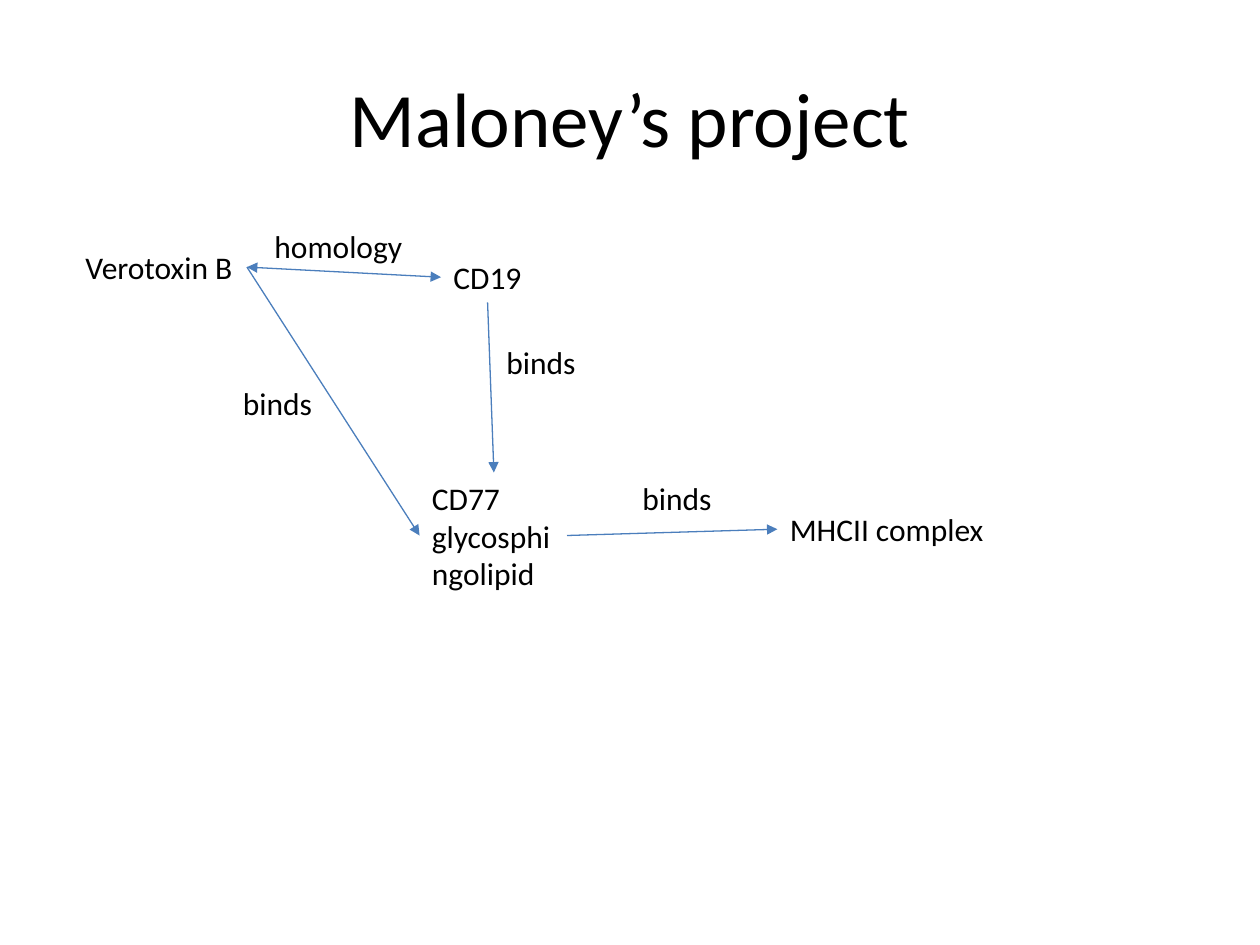
import dataclasses

import lxml.etree
import pptx
import pptx.dml.color
import pptx.enum.shapes
import pptx.enum.text
import pptx.oxml.ns
import pptx.slide
import pptx.text.text
import pptx.util

Inches = pptx.util.Inches
BLACK = pptx.dml.color.RGBColor(0x00, 0x00, 0x00)
BLUE = pptx.dml.color.RGBColor(0x4B, 0x7E, 0xBC)
FONT = "Calibri"


@dataclasses.dataclass
class Label:
    text: str
    left: float
    top: float
    width: float
    height: float = 0.4
    wrap: bool = False


@dataclasses.dataclass
class Arrow:
    start: tuple[float, float]
    end: tuple[float, float]
    double: bool = False


LABELS = [
    Label("CD77\nglycosphingolipid", 3.33, 3.75, 1.17, 1.01, True),
    Label("MHCII complex", 6.17, 4, 1.76),
    Label("CD19", 3.5, 2, 0.75),
    Label("Verotoxin B", 0.58, 1.92, 1.38),
    Label("homology", 2.08, 1.75, 1.23),
    Label("binds", 1.83, 3, 0.76),
    Label("binds", 5, 3.75, 0.76),
    Label("binds", 3.92, 2.67, 0.76),
]

ARROWS = [
    Arrow((1.96, 2.12), (3.33, 4.25)),
    Arrow((1.96, 2.12), (3.5, 2.2), double=True),
    Arrow((4.5, 4.25), (6.17, 4.2)),
    Arrow((3.87, 2.4), (3.92, 3.75)),
]


def set_font(frame: pptx.text.text.TextFrame, size: float) -> None:
    for para in frame.paragraphs:
        para.font.name = FONT
        para.font.size = pptx.util.Pt(size)
        para.font.color.rgb = BLACK


def draw_label(page: pptx.slide.Slide, label: Label) -> None:
    box = page.shapes.add_textbox(
        Inches(label.left), Inches(label.top), Inches(label.width), Inches(label.height)
    )
    frame = box.text_frame
    frame.text = label.text
    frame.word_wrap = label.wrap
    frame.auto_size = pptx.enum.text.MSO_AUTO_SIZE.SHAPE_TO_FIT_TEXT
    set_font(frame, 18)


def draw_arrow(page: pptx.slide.Slide, arrow: Arrow) -> None:
    connector = page.shapes.add_connector(
        pptx.enum.shapes.MSO_CONNECTOR.STRAIGHT,
        *map(Inches, arrow.start + arrow.end),
    )
    connector.line.color.rgb = BLUE
    connector.line.width = pptx.util.Pt(0.75)
    line = connector.line._get_or_add_ln()
    for end in ["headEnd", "tailEnd"] if arrow.double else ["tailEnd"]:
        lxml.etree.SubElement(line, pptx.oxml.ns.qn(f"a:{end}"), type="triangle")
    lxml.etree.SubElement(
        connector._element.spPr, pptx.oxml.ns.qn("a:effectLst")
    )


def draw_title(page: pptx.slide.Slide, text: str) -> None:
    title = page.shapes.title
    title.left, title.top = Inches(0.5), Inches(0.3)
    title.width, title.height = Inches(9), Inches(1.25)
    frame = title.text_frame
    frame.text = text
    frame.vertical_anchor = pptx.enum.text.MSO_ANCHOR.MIDDLE
    frame.paragraphs[0].alignment = pptx.enum.text.PP_ALIGN.CENTER
    set_font(frame, 44)


def main() -> None:
    deck = pptx.Presentation()
    deck.slide_width, deck.slide_height = Inches(10), Inches(7.5)
    page = deck.slides.add_slide(deck.slide_layouts.get_by_name("Title Only"))
    draw_title(page, "Maloney’s project")
    for label in LABELS:
        draw_label(page, label)
    for arrow in ARROWS:
        draw_arrow(page, arrow)
    deck.save("out.pptx")


main()
